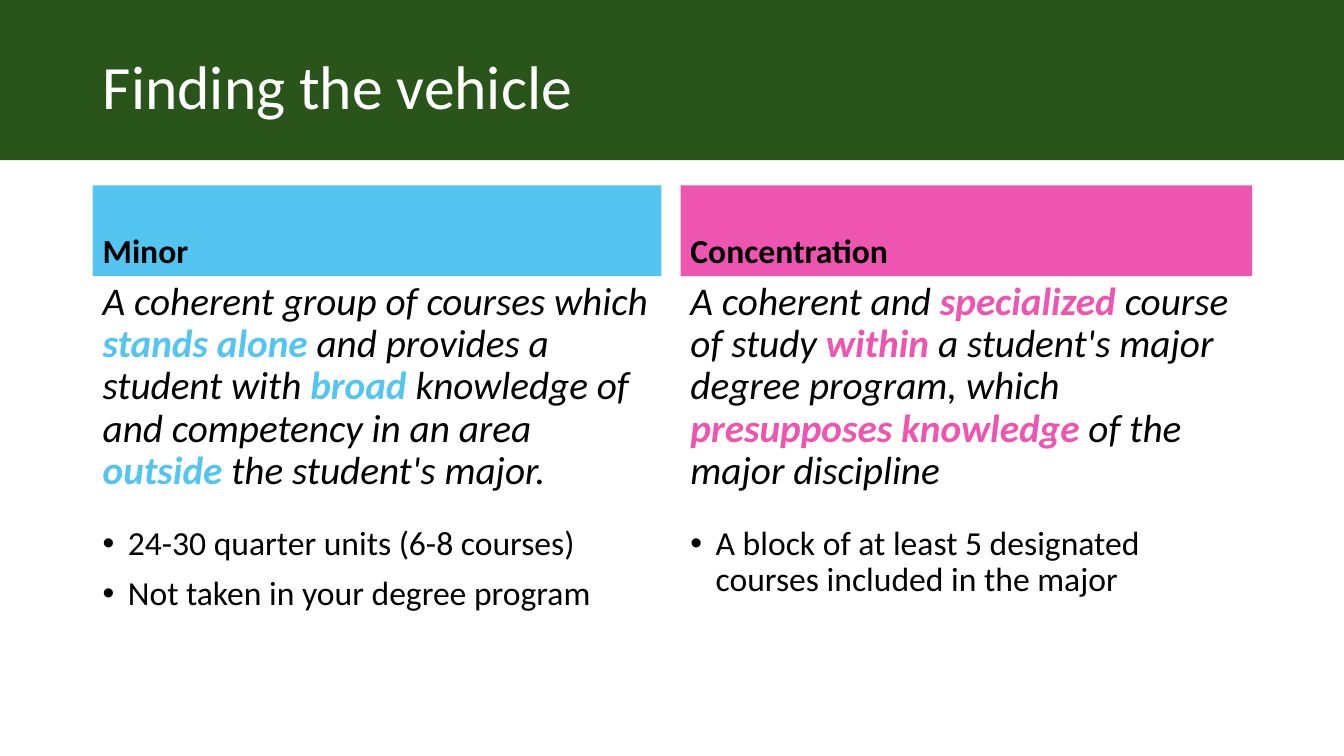
from lxml.etree import SubElement
from pptx import Presentation
from pptx.dml.color import RGBColor
from pptx.enum.shapes import MSO_SHAPE
from pptx.enum.text import MSO_ANCHOR, MSO_AUTO_SIZE, PP_ALIGN
from pptx.oxml.ns import qn
from pptx.util import Inches, Pt

GREEN = RGBColor(0x29, 0x55, 0x1A)
BLUE = RGBColor(0x54, 0xC5, 0xF1)
PINK = RGBColor(0xEE, 0x55, 0xB0)
BLACK = RGBColor(0, 0, 0)
WHITE = RGBColor(255, 255, 255)


def write(p, text, size=24, color=BLACK, bold=False, italic=False,
          accent=None, before=10, bullet=False):
    """Fill a paragraph; parts between asterisks are bold in the accent colour."""
    p.alignment = PP_ALIGN.LEFT
    p.line_spacing = 0.9
    p.space_before = Pt(before)
    if bullet:
        pPr = p._p.get_or_add_pPr()
        pPr.set("marL", str(Inches(0.25)))
        pPr.set("indent", str(Inches(-0.25)))
        SubElement(pPr, qn("a:buFont")).set("typeface", "Arial")
        SubElement(pPr, qn("a:buChar")).set("char", "•")
    for i, part in enumerate(text.split("*")):
        if not part:
            continue
        marked = i % 2 == 1
        r = p.add_run()
        r.text = part
        r.font.name = "Calibri"
        r.font.size = Pt(size)
        r.font.bold = bold or marked
        r.font.italic = italic
        r.font.color.rgb = accent if marked else color


class Deck:
    def __init__(self, width, height):
        self.prs = Presentation()
        self.prs.slide_width = Inches(width)
        self.prs.slide_height = Inches(height)
        self.s = self.prs.slides.add_slide(self.prs.slide_layouts[5])

    def frame(self, sp, anchor):
        tf = sp.text_frame
        tf.word_wrap = True
        tf.auto_size = MSO_AUTO_SIZE.NONE
        tf.vertical_anchor = anchor
        return tf

    def title(self, text, x, y, w, h):
        sp = self.s.shapes.title
        sp.left, sp.top, sp.width, sp.height = map(Inches, (x, y, w, h))
        tf = self.frame(sp, MSO_ANCHOR.MIDDLE)
        write(tf.paragraphs[0], text, size=44, color=WHITE, before=0)

    def box(self, x, y, w, h, fill):
        sp = self.s.shapes.add_shape(MSO_SHAPE.RECTANGLE, *map(Inches, (x, y, w, h)))
        sp.shadow.inherit = False
        sp.fill.solid()
        sp.fill.fore_color.rgb = fill
        sp.line.fill.background()
        return sp

    def band(self, x, y, w, h, fill):
        sp = self.box(x, y, w, h, fill)
        self.s.shapes.title.element.addprevious(sp.element)

    def header(self, text, x, y, w, h, fill):
        tf = self.frame(self.box(x, y, w, h, fill), MSO_ANCHOR.BOTTOM)
        write(tf.paragraphs[0], text, bold=True)

    def body(self, definition, points, x, y, w, h, accent):
        sp = self.s.shapes.add_textbox(*map(Inches, (x, y, w, h)))
        tf = self.frame(sp, MSO_ANCHOR.TOP)
        write(tf.paragraphs[0], definition, size=28, italic=True, accent=accent)
        for i, point in enumerate(points):
            write(tf.add_paragraph(), point, before=10 if i else 24, bullet=True)


deck = Deck(13.33, 7.5)

# Title band
deck.band(0, 0, 13.33, 1.59, GREEN)
deck.title("Finding the vehicle", 0.92, 0.16, 11.5, 1.45)

# Two compared columns
COLUMNS = [
    (0.92, 5.64, BLUE, "Minor",
     "A coherent group of courses which *stands alone *and provides a student "
     "with *broad *knowledge of and competency in an area *outside *the "
     "student's major.",
     ["24-30 quarter units (6-8 courses)", "Not taken in your degree program"]),
    (6.75, 5.67, PINK, "Concentration",
     "A coherent and *specialized *course of study *within *a student's major "
     "degree program, which *presupposes knowledge* of the major discipline",
     ["A block of at least 5 designated courses included in the major"]),
]
TOP, HEADER_H, BODY_H = 1.84, 0.9, 4.03
for x, w, color, name, definition, points in COLUMNS:
    deck.header(name, x, TOP, w, HEADER_H, color)
    deck.body(definition, points, x, TOP + HEADER_H, w, BODY_H, color)

deck.prs.save("out.pptx")
